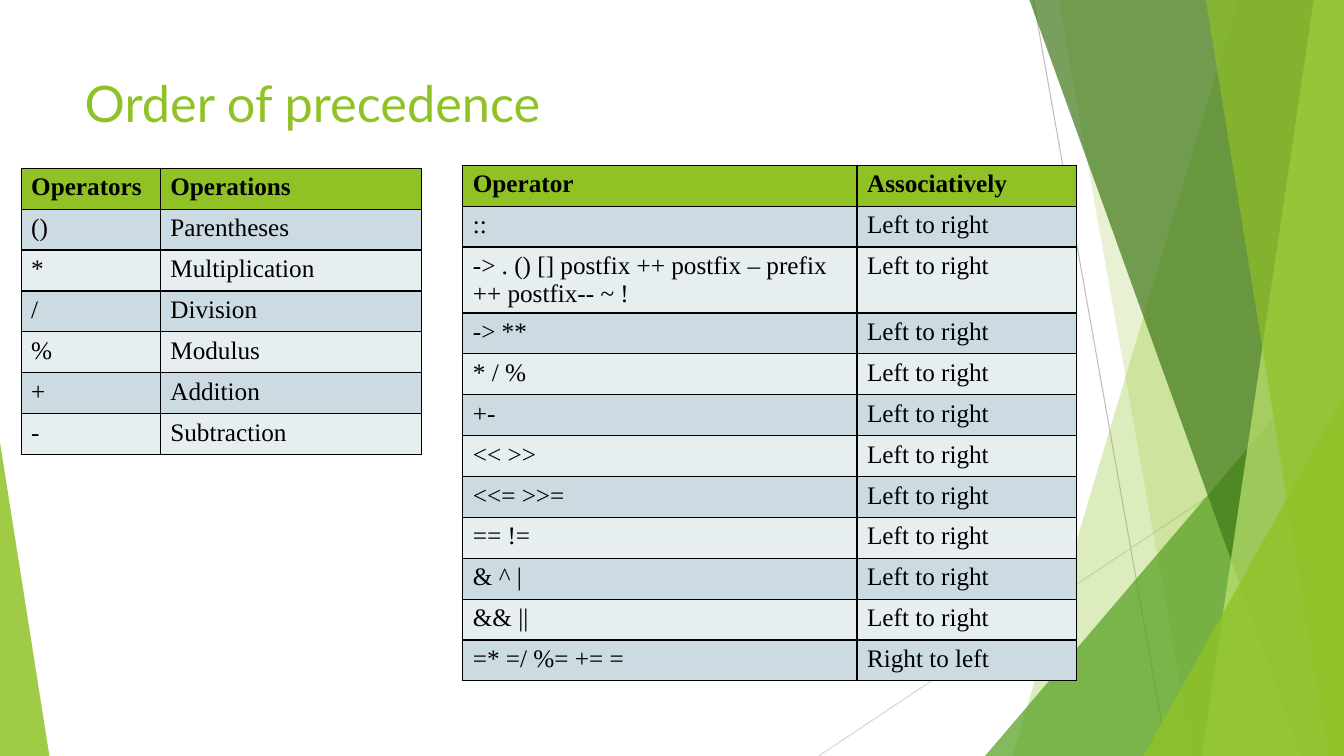
from lxml import etree
from pptx import Presentation
from pptx.dml.color import RGBColor
from pptx.enum.shapes import MSO_CONNECTOR, MSO_SHAPE
from pptx.enum.text import MSO_ANCHOR, MSO_AUTO_SIZE, PP_ALIGN
from pptx.oxml import parse_xml
from pptx.oxml.ns import nsdecls, qn
from pptx.util import Inches, Pt

WIDTH, HEIGHT = 13.33, 7.5
ROW_HEIGHT = 2.84 / 7
COLORS = {
    "lime": "90C226", "green": "54A021", "forest": "3F7818", "pale": "BFE471",
    "band": "CCDBE1", "light band": "E7EEF0", "black": "000000",
    "gray": "BFBFBF", "light gray": "D8D8D8",
}


def paint(shape, color, opacity):
    """Fill a shape with a translucent color, without outline or shadow."""
    shape.shadow.inherit = False
    shape.line.fill.background()
    shape.fill.solid()
    shape.fill.fore_color.rgb = RGBColor.from_string(COLORS[color])
    solid_color = shape.fill._xPr.find(qn("a:solidFill"))[0]
    etree.SubElement(solid_color, qn("a:alpha"), val=str(opacity * 1000))


def add_grid(slide, left, top, column_widths, rows):
    """Add a banded table with black borders and a bold first row."""
    frame = slide.shapes.add_table(
        len(rows), len(column_widths), Inches(left), Inches(top),
        Inches(sum(column_widths)), Inches(ROW_HEIGHT * len(rows)))
    table = frame.table
    for column, width in zip(table.columns, column_widths):
        column.width = Inches(width)
    for row_index, texts in enumerate(rows):
        table.rows[row_index].height = Inches(ROW_HEIGHT)
        band = "lime" if row_index == 0 else ("light band", "band")[row_index % 2]
        for column_index, text in enumerate(texts):
            cell = table.cell(row_index, column_index)
            properties = cell._tc.get_or_add_tcPr()
            for side in ("lnL", "lnR", "lnT", "lnB"):
                properties.append(parse_xml(
                    f'<a:{side} {nsdecls("a")} w="12700"><a:solidFill>'
                    f'<a:srgbClr val="{COLORS["black"]}"/></a:solidFill></a:{side}>'))
            cell.fill.solid()
            cell.fill.fore_color.rgb = RGBColor.from_string(COLORS[band])
            cell.text = text
            font = cell.text_frame.paragraphs[0].font
            font.name, font.size, font.bold = "Times New Roman", Pt(18), row_index == 0
            font.color.rgb = RGBColor.from_string(COLORS["black"])


presentation = Presentation()
presentation.slide_width, presentation.slide_height = Inches(WIDTH), Inches(HEIGHT)
slide = presentation.slides.add_slide(presentation.slide_layouts[5])

# Thin lines behind the facets
for start_x, start_y, end_x, color in [
    (10.25, 0, 11.58, "gray"),
    (WIDTH, 4.03, 8.12, "light gray"),
]:
    line = slide.shapes.add_connector(
        MSO_CONNECTOR.STRAIGHT, Inches(start_x), Inches(start_y), Inches(end_x), Inches(HEIGHT))
    line.line.width = Pt(0.75)
    line.line.color.rgb = RGBColor.from_string(COLORS[color])
    etree.SubElement(line._element.spPr, qn("a:effectLst"))

# Facets: a panel (top x, bottom x) reaches the right edge;
# a triangle (left, top, width, apex) stands on the bottom edge
for geometry, color, opacity in [
    ((12.28, 10.04), "lime", 30),
    ((10.5, 11.83), "lime", 20),
    ((9.77, 3.33, 3.56, 1), "green", 72),
    ((10.21, 12.91), "forest", 70),
    ((13.03, 11.92), "pale", 70),
    ((11.96, 13.18), "lime", 65),
    ((11.34, 3.93, 1.99, 1), "lime", 80),
    ((0, 4.39, 0.49, 0), "lime", 85),
]:
    if len(geometry) == 2:
        top_x, bottom_x = geometry
        builder = slide.shapes.build_freeform(Inches(top_x), 0)
        builder.add_line_segments([
            (Inches(x), Inches(y))
            for x, y in [(WIDTH, 0), (WIDTH, HEIGHT), (bottom_x, HEIGHT)]])
        facet = builder.convert_to_shape()
    else:
        left, top, width, apex = geometry
        facet = slide.shapes.add_shape(
            MSO_SHAPE.ISOSCELES_TRIANGLE, Inches(left), Inches(top),
            Inches(width), Inches(HEIGHT - top))
        facet.adjustments[0] = apex
    paint(facet, color, opacity)

title = slide.shapes.title
title.left, title.top, title.width, title.height = map(Inches, (0.74, 0.67, 9.4, 1.44))
title.text_frame.text = "Order of precedence"
title.text_frame.vertical_anchor = MSO_ANCHOR.TOP
title.text_frame.auto_size = MSO_AUTO_SIZE.NONE
paragraph = title.text_frame.paragraphs[0]
paragraph.alignment = PP_ALIGN.LEFT
paragraph.font.name, paragraph.font.size = "Lato", Pt(36)
paragraph.font.color.rgb = RGBColor.from_string(COLORS["lime"])

add_grid(slide, 0.21, 1.67, (1.38, 2.59), [
    ("Operators", "Operations"),
    ("()", "Parentheses"),
    ("*", "Multiplication"),
    ("/", "Division"),
    ("%", "Modulus"),
    ("+", "Addition"),
    ("-", "Subtraction"),
])

left_to_right = [
    "::", "-> . () [] postfix ++ postfix – prefix ++ postfix-- ~ !", "-> **", "* / %",
    "+-", "<< >>", "<<= >>=", "== !=", "& ^ |", "&& ||",
]
add_grid(slide, 4.59, 1.64, (3.91, 2.18), [
    ("Operator", "Associatively"),
    *((operators, "Left to right") for operators in left_to_right),
    ("=* =/ %= += =", "Right to left"),
])

presentation.save("out.pptx")
